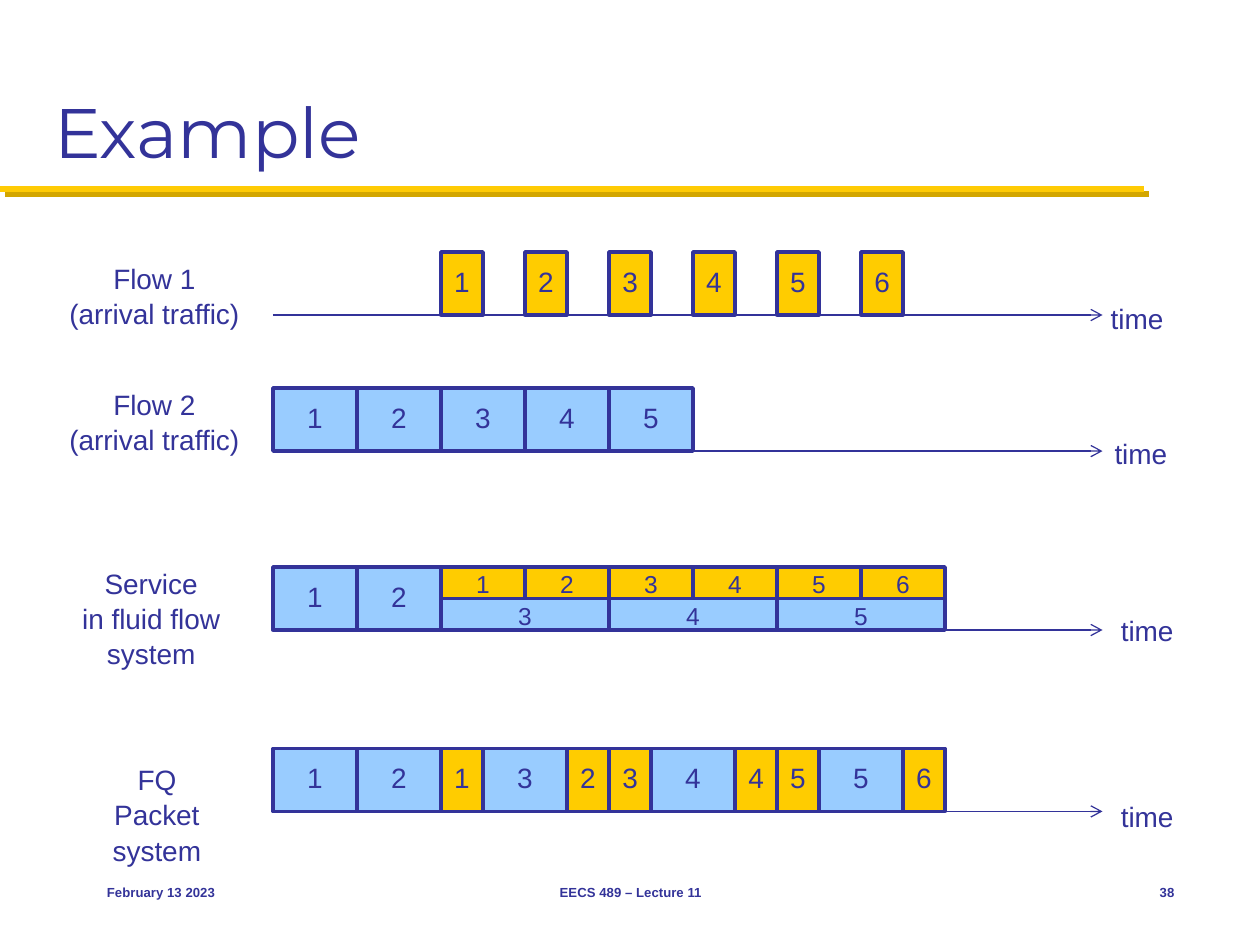
from lxml.etree import SubElement
from pptx import Presentation
from pptx.dml.color import RGBColor
from pptx.enum.shapes import MSO_CONNECTOR as Connector, MSO_SHAPE as Shape
from pptx.enum.text import MSO_ANCHOR as Anchor, MSO_AUTO_SIZE as AutoSize, PP_ALIGN as Align
from pptx.oxml.ns import qn
from pptx.util import Inches, Pt

COLORS = {"ink": "333399", "flow1": "FFCC00", "flow2": "99CCFF",
          "rule": "FFCB05", "rule_shadow": "D3A600"}
WIDTH, HEIGHT = 10, 7.5
SLOT = WIDTH / 30          # time taken by one packet of flow 1
ORIGIN = 6.5 * SLOT        # where every time axis starts
AXIS_END = 0.875 * WIDTH
ROW = HEIGHT / 15          # height of a full packet
LANES = {"full": (0, 1), "upper": (0, 0.5), "lower": (0.5, 0.5)}


def color(name):
    return RGBColor.from_string(COLORS[name])


def write(shape, text, size, align=Align.CENTER, anchor=Anchor.TOP,
          font="Arial", bold=False, spacing=None):
    frame = shape.text_frame
    frame.text = text
    frame.auto_size = AutoSize.NONE
    frame.vertical_anchor = anchor
    for para in frame.paragraphs:
        para.alignment = align
        para.line_spacing = spacing
        for span in para.runs:
            span.font.name = font
            span.font.size = Pt(size)
            span.font.bold = bold
            span.font.color.rgb = color("ink")
    return frame


def add_text(page, box, text, size, **style):
    shape = page.shapes.add_textbox(*map(Inches, box))
    frame = write(shape, text, size, **style)
    frame.word_wrap = False
    return frame


def add_line(page, start, end, line_color, weight):
    """Draw a straight line and return it with its empty effect list."""
    line = page.shapes.add_connector(Connector.STRAIGHT, *map(Inches, (*start, *end)))
    line.line.color.rgb = color(line_color)
    line.line.width = Pt(weight)
    effects = SubElement(line._element.spPr, qn("a:effectLst"))
    return line, effects


def add_title(page, box, text):
    title = page.shapes.title
    title.left, title.top, title.width, title.height = map(Inches, box)
    write(title, text, 40, Align.LEFT, Anchor.BOTTOM, "Montserrat")

    rule_y = HEIGHT / 5
    _, effects = add_line(page, (0, rule_y), (9.08, rule_y), "rule", 3.5)
    shadow = SubElement(effects, qn("a:outerShdw"), blurRad="0",
                        dist=str(Pt(4.2)), dir=str(45 * 60000), algn="ctr", rotWithShape="0")
    SubElement(shadow, qn("a:srgbClr"), val=COLORS["rule_shadow"])


def add_axis(page, y):
    axis, _ = add_line(page, (ORIGIN, y), (AXIS_END, y), "ink", 0.75)
    SubElement(axis.line._get_or_add_ln(), qn("a:tailEnd"), type="arrow")


def add_packet(page, top, flow, number, start, length, lane="full"):
    offset, share = LANES[lane]
    box = ORIGIN + start * SLOT, top + offset * ROW, length * SLOT, share * ROW
    packet = page.shapes.add_shape(Shape.RECTANGLE, *map(Inches, box))
    packet.shadow.inherit = False
    packet.fill.solid()
    packet.fill.fore_color.rgb = color(flow)
    packet.line.color.rgb = color("ink")
    packet.line.width = Pt(2)
    full = lane == "full"
    frame = write(packet, str(number), 16 if full else 14, anchor=Anchor.MIDDLE)
    frame.margin_left = frame.margin_right = 0
    frame.margin_top = Inches(0 if full else 0.02)
    frame.margin_bottom = Inches(0.04 if full else 0)


def add_timeline(page, top, packets, label, label_box, time_at):
    add_axis(page, top + ROW)
    for packet in packets:
        add_packet(page, top, *packet)
    for box, text in ((label_box, label), ((*time_at, 0.73, 0.43), "time")):
        frame = add_text(page, box, text, 16, spacing=1.05)
        frame.margin_top = Inches(0.06)


def add_footer(page, top, height):
    for left, width, text, align in (
            (0.75, 2.08, "February 13 2023", Align.LEFT),
            (3.42, 3.17, "EECS 489 – Lecture 11", Align.CENTER),
            (8.75, 0.67, "38", Align.RIGHT)):
        add_text(page, (left, top, width, height), text, 7.5,
                 align=align, anchor=Anchor.MIDDLE, bold=True)


def back_to_back(sequence):
    """Place (flow, number) packets one after another from time zero."""
    packets, start = [], 0
    for flow, number in sequence:
        length = 1 if flow == "flow1" else 2
        packets.append((flow, number, start, length))
        start += length
    return packets


def main():
    deck = Presentation()
    deck.slide_width, deck.slide_height = Inches(WIDTH), Inches(HEIGHT)
    page = deck.slides.add_slide(deck.slide_layouts[5])
    add_title(page, (0.33, 0.17, 9.33, 1.25), "Example")

    arrivals1 = [("flow1", n, 2 + 2 * n, 1) for n in range(1, 7)]
    arrivals2 = back_to_back(("flow2", n) for n in range(1, 6))
    fluid = (arrivals2[:2]
             + [("flow1", n, 2 + 2 * n, 2, "upper") for n in range(1, 7)]
             + [("flow2", n, 4 * n - 8, 4, "lower") for n in range(3, 6)])
    fair_queue = back_to_back([
        ("flow2", 1), ("flow2", 2), ("flow1", 1), ("flow2", 3), ("flow1", 2), ("flow1", 3),
        ("flow2", 4), ("flow1", 4), ("flow1", 5), ("flow2", 5), ("flow1", 6)])

    add_timeline(page, 2, arrivals1, "Flow 1\n(arrival traffic)",
                 (0.27, 2, 1.91, 0.77), (8.66, 2.32))
    add_timeline(page, 3.08, arrivals2, "Flow 2\n(arrival traffic)",
                 (0.27, 3, 1.91, 0.77), (8.69, 3.39))
    add_timeline(page, 4.5, fluid, "Service\nin fluid flow\nsystem",
                 (0.4, 4.42, 1.6, 1.11), (8.74, 4.8))
    add_timeline(page, 5.94, fair_queue, "FQ\vPacket\nsystem",
                 (0.7, 5.98, 1.09, 1.11), (8.74, 6.27))
    add_footer(page, 6.83, 0.5)
    deck.save("out.pptx")


if __name__ == "__main__":
    main()
